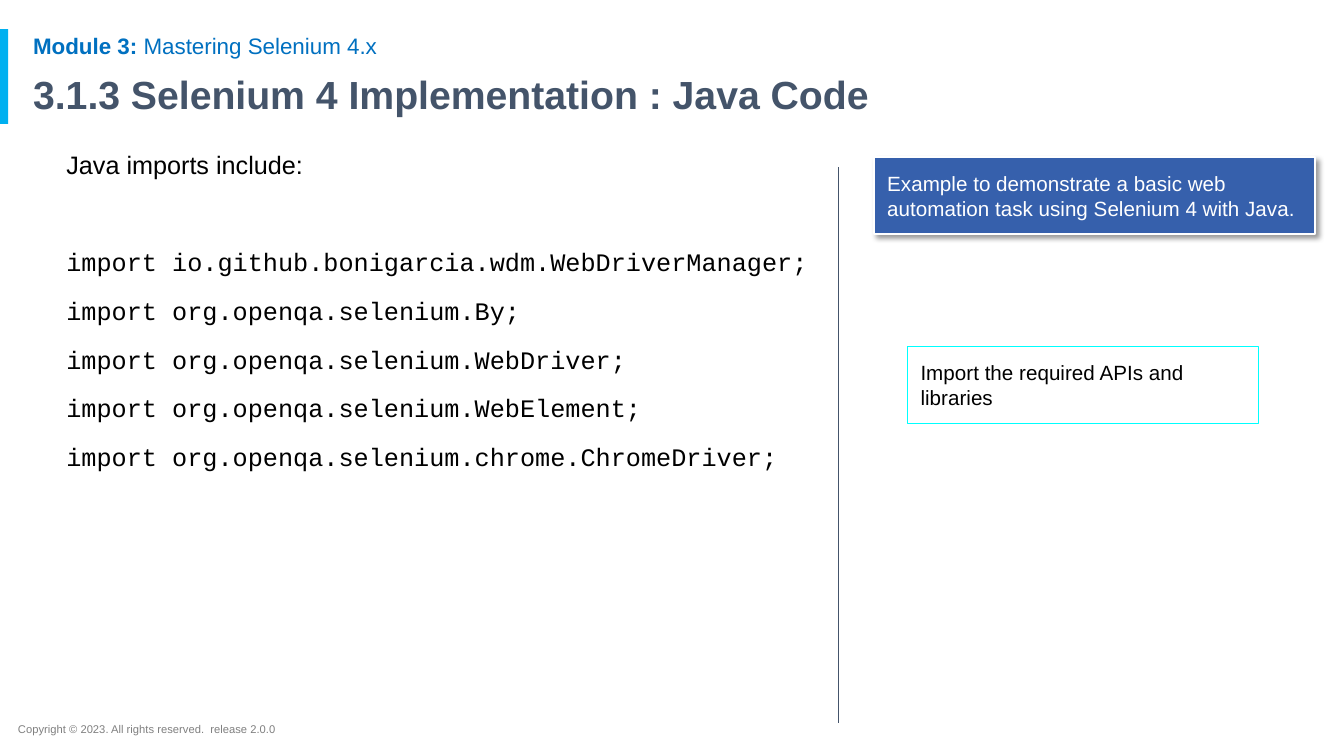
from lxml import etree
from pptx import Presentation
from pptx.dml.color import RGBColor
from pptx.enum.shapes import MSO_CONNECTOR, MSO_SHAPE
from pptx.enum.text import MSO_ANCHOR, PP_ALIGN
from pptx.oxml import parse_xml
from pptx.oxml.ns import qn
from pptx.util import Inches, Pt

RECTANGLE = MSO_SHAPE.RECTANGLE
STRAIGHT = MSO_CONNECTOR.STRAIGHT
TOP, MIDDLE = MSO_ANCHOR.TOP, MSO_ANCHOR.MIDDLE
LEFT = PP_ALIGN.LEFT

THEME = {
    "accent": "00B0F0", "module": "0070C0", "title": "44546A", "text": "000000",
    "footer": "808080", "callout": "3660AC", "white": "FFFFFF", "note_line": "00FFFF",
    "footer_size": 8, "module_size": 16, "title_size": 28, "body_size": 18, "note_size": 14.7,
    "font": "Arial", "code_font": "Courier New",
}
SHADOW = (
    '<a:effectLst xmlns:a="http://schemas.openxmlformats.org/drawingml/2006/main">'
    '<a:outerShdw blurRad="50800" dist="38100" dir="2700000" algn="tl" rotWithShape="0">'
    '<a:srgbClr val="000000"><a:alpha val="40000"/></a:srgbClr>'
    '</a:outerShdw></a:effectLst>'
)


def write(shape, paragraphs, color, size, anchor=TOP, **formats):
    frame = shape.text_frame
    frame.word_wrap = True
    frame.vertical_anchor = anchor
    for index, runs in enumerate(paragraphs):
        paragraph = frame.paragraphs[0] if index == 0 else frame.add_paragraph()
        paragraph.alignment = LEFT
        for name, value in formats.items():
            setattr(paragraph, name, value)
        for text, bold, font_name in runs:
            run = paragraph.add_run()
            run.text = text
            settings = {"name": font_name, "size": Pt(THEME[size]), "bold": bold}
            for name, value in settings.items():
                setattr(run.font, name, value)
            run.font.color.rgb = RGBColor.from_string(THEME[color])
    return frame


def add_rectangle(box, fill=None, line=None, width=0.75):
    shape = slide.shapes.add_shape(RECTANGLE, *map(Inches, box))
    shape.shadow.inherit = False
    for part, color in ((shape.fill, fill), (shape.line.fill, line)):
        if color:
            part.solid()
            part.fore_color.rgb = RGBColor.from_string(THEME[color])
        else:
            part.background()
    if line:
        shape.line.width = Pt(width)
    return shape


presentation = Presentation()
presentation.slide_width = Inches(13.33)
presentation.slide_height = Inches(7.5)
slide = presentation.slides.add_slide(presentation.slide_layouts[6])

add_rectangle((0, 0.29, 0.08, 0.94), fill="accent")

font = THEME["font"]
code_font = THEME["code_font"]
java_imports = [
    "io.github.bonigarcia.wdm.WebDriverManager",
    "org.openqa.selenium.By",
    "org.openqa.selenium.WebDriver",
    "org.openqa.selenium.WebElement",
    "org.openqa.selenium.chrome.ChromeDriver",
]
body = [[("Java imports include:", False, font)]]
body += [[(f"import {name};", False, code_font)] for name in java_imports]
module = [[("Module 3: ", True, font), ("Mastering Selenium 4.x", False, font)]]
title = [[("3.1.3 Selenium 4 Implementation : Java Code", True, font)]]
footer = [[("Copyright © 2023. All rights reserved.  release 2.0.0", False, font)]]

text_boxes = [
    ((0.08, 7.12, 7.13, 0.24), footer, "footer", "footer_size", TOP, {}),
    ((0.23, 0.3, 11.5, 0.33), module, "module", "module_size", MIDDLE, {"line_spacing": 0.9}),
    ((0.23, 0.69, 12.73, 0.54), title, "title", "title_size", MIDDLE, {"line_spacing": 0.9}),
    ((0.56, 1.43, 11.24, 5.29), body, "text", "body_size", TOP, {"space_after": Pt(13.2)}),
]
for box, paragraphs, color, size, anchor, formats in text_boxes:
    text_box = slide.shapes.add_textbox(*map(Inches, box))
    frame = write(text_box, paragraphs, color, size, anchor, **formats)
frame.paragraphs[0].space_after = Pt(48)

callout = add_rectangle((8.67, 1.56, 4.37, 0.76), "callout", "white", 1.5)
properties = callout.element.spPr
properties.replace(properties.find(qn("a:effectLst")), parse_xml(SHADOW))
note = add_rectangle((9, 3.44, 3.48, 0.76), line="note_line")
notes = [
    (callout, "Example to demonstrate a basic web automation task using Selenium 4 with Java.", "white"),
    (note, "Import the required APIs and libraries", "text"),
]
for shape, text, color in notes:
    frame = write(shape, [[(text, False, font)]], color, "note_size", MIDDLE)
    for side in ("left", "top", "right", "bottom"):
        setattr(frame, f"margin_{side}", Inches(0.13))

divider = slide.shapes.add_connector(
    STRAIGHT, Inches(8.32), Inches(1.66), Inches(8.32), Inches(7.17))
divider.line.color.rgb = RGBColor.from_string(THEME["title"])
divider.line.width = Pt(0.75)
etree.SubElement(divider.element.spPr, qn("a:effectLst"))

presentation.save("out.pptx")
